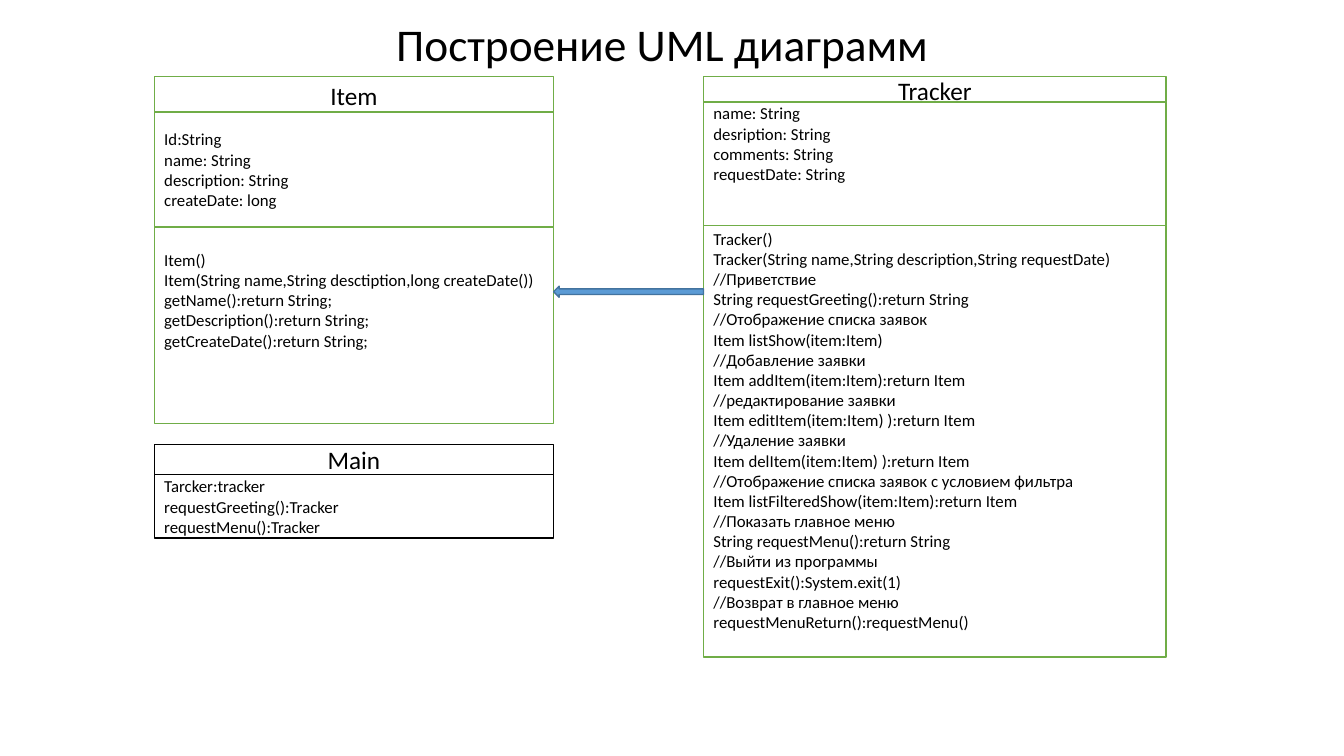
from dataclasses import dataclass

from pptx import Presentation
from pptx.dml.color import RGBColor
from pptx.enum.shapes import MSO_SHAPE as Shape
from pptx.enum.text import MSO_ANCHOR as Anchor, MSO_AUTO_SIZE as AutoSize, PP_ALIGN as Align
from pptx.util import Cm, Pt

COLORS = {
    "black": "000000", "white": "FFFFFF", "green": "70AD47",
    "blue": "5B9BD5", "navy": "43739E",
}
FONT = "Calibri"


@dataclass
class Section:
    """One compartment of a class box; a top inset pins its text to the top."""
    top: float
    height: float
    lines: list[str]
    inset: float | None = None


@dataclass
class ClassBox:
    left: float
    width: float
    line: str
    sections: list[Section]  # the first one holds the class name


ITEM = ClassBox(3.89, 10.06, "green", [
    Section(1.93, 0.94, ["Item"]),
    Section(2.82, 2.9, [
        "Id:String", "name: String", "description: String", "createDate: long"]),
    Section(5.74, 4.93, [
        "Item()",
        "Item(String name,String desctiption,long createDate())",
        "getName():return String;",
        "getDescription():return String;",
        "getCreateDate():return String;",
    ], inset=0.55),
])
TRACKER = ClassBox(17.73, 11.66, "green", [
    Section(1.93, 0.69, ["Tracker"]),
    Section(2.57, 3.12, [
        "name: String", "desription: String", "comments: String",
        "requestDate: String"], inset=0.03),
    Section(5.69, 10.87, [
        "Tracker()",
        "Tracker(String name,String description,String requestDate)",
        "//Приветствие",
        "String requestGreeting():return String",
        "//Отображение списка заявок",
        "Item listShow(item:Item)",
        "//Добавление заявки",
        "Item addItem(item:Item):return Item",
        "//редактирование заявки",
        "Item editItem(item:Item) ):return Item",
        "//Удаление заявки",
        "Item delItem(item:Item) ):return Item",
        "//Отображение списка заявок с условием фильтра",
        "Item listFilteredShow(item:Item):return Item",
        "//Показать главное меню",
        "String requestMenu():return String",
        "//Выйти из программы",
        "requestExit():System.exit(1)",
        "//Возврат в главное меню",
        "requestMenuReturn():requestMenu()",
    ], inset=0.07),
])
MAIN = ClassBox(3.89, 10.06, "black", [
    Section(11.2, 0.76, ["Main"]),
    Section(11.96, 1.6, [
        "Tarcker:tracker", "requestGreeting():Tracker", "requestMenu():Tracker"]),
])


def rgb(name: str) -> RGBColor:
    return RGBColor.from_string(COLORS[name])


def set_attrs(obj, values: dict) -> None:
    for name, value in values.items():
        setattr(obj, name, value)


def write(tf, lines: list[str], size: float, align, spacing: float = 1.0) -> None:
    for i, line in enumerate(lines):
        p = tf.add_paragraph() if i else tf.paragraphs[0]
        set_attrs(p, {"alignment": align, "line_spacing": spacing})
        r = p.add_run()
        r.text = line
        set_attrs(r.font, {"name": FONT, "size": Pt(size)})
        r.font.color.rgb = rgb("black")


def add_shape(slide, kind, box: tuple, fill: str, line: str):
    sp = slide.shapes.add_shape(kind, *map(Cm, box))
    sp.shadow.inherit = False
    sp.fill.solid()
    sp.fill.fore_color.rgb = rgb(fill)
    sp.line.color.rgb = rgb(line)
    sp.line.width = Pt(1)
    return sp


def add_class(slide, cls: ClassBox) -> None:
    for i, sec in enumerate(cls.sections):
        box = (cls.left, sec.top, cls.width, sec.height)
        tf = add_shape(slide, Shape.RECTANGLE, box, "white", cls.line).text_frame
        set_attrs(tf, {
            "word_wrap": True,
            "vertical_anchor": Anchor.MIDDLE if sec.inset is None else Anchor.TOP,
            "margin_top": Cm(sec.inset or 0),
            "margin_bottom": 0,
        })
        write(tf, sec.lines, 12 if i else 18, Align.LEFT if i else Align.CENTER)


def add_title(slide, text: str) -> None:
    sp = slide.shapes.title
    set_attrs(sp, {"left": Cm(3.99), "top": Cm(0.81),
                   "width": Cm(25.4), "height": Cm(1.12)})
    set_attrs(sp.text_frame, {"word_wrap": True, "auto_size": AutoSize.NONE,
                              "vertical_anchor": Anchor.BOTTOM})
    write(sp.text_frame, [text], 32.4, Align.CENTER, 0.9)


def main() -> None:
    prs = Presentation()
    set_attrs(prs, {"slide_width": Cm(33.87), "slide_height": Cm(19.05)})
    slide = prs.slides.add_slide(prs.slide_layouts[5])

    add_title(slide, "Построение UML диаграмм")

    # Item and Tracker classes
    for cls in (ITEM, TRACKER):
        add_class(slide, cls)

    # Arrow from Tracker to Item
    start = ITEM.left + ITEM.width
    arrow = add_shape(slide, Shape.RIGHT_ARROW,
                      (start, 7.21, TRACKER.left - start, 0.28), "blue", "navy")
    arrow.rotation = 180

    # Main class
    add_class(slide, MAIN)

    prs.save("out.pptx")


if __name__ == "__main__":
    main()
